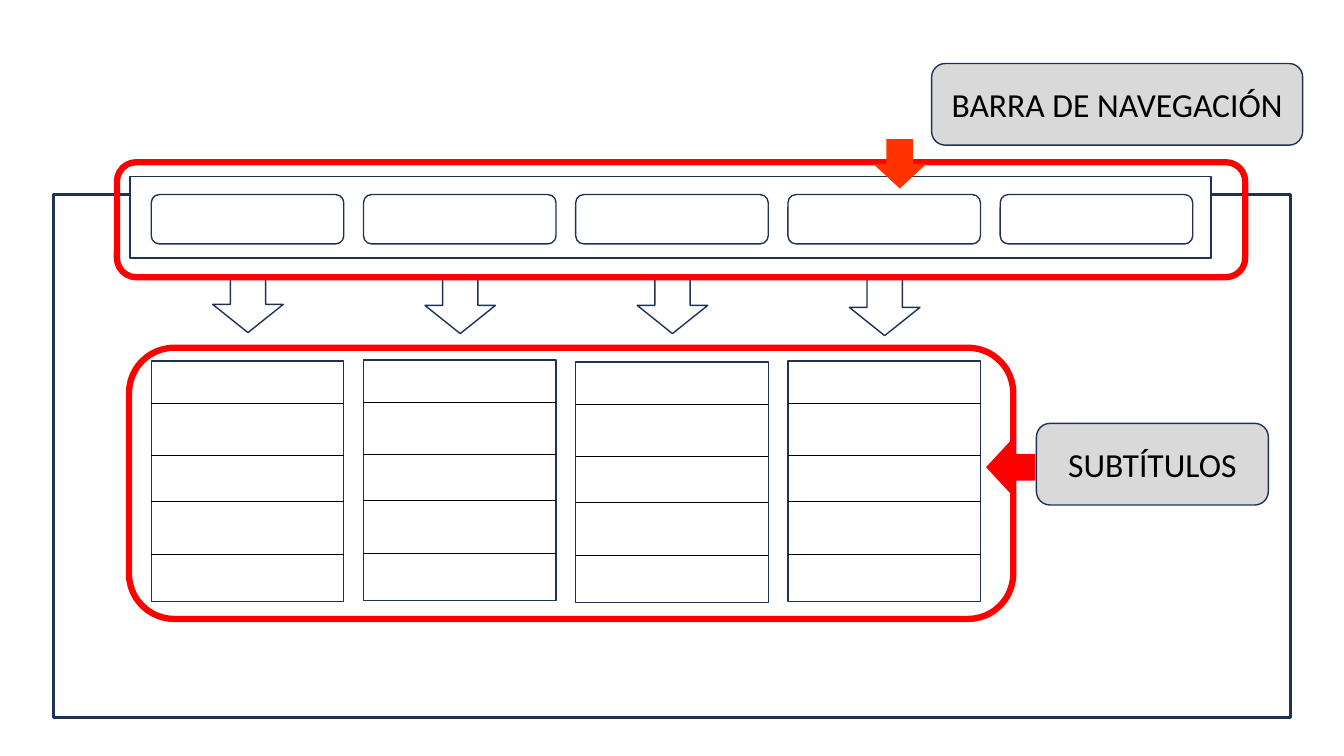
"""Build a wireframe slide of a web page with its navigation bar and subtitles."""
from lxml import etree
from pptx import Presentation
from pptx.dml.color import RGBColor
from pptx.enum.shapes import MSO_CONNECTOR, MSO_SHAPE
from pptx.enum.text import MSO_ANCHOR, PP_ALIGN
from pptx.oxml.ns import qn
from pptx.util import Inches, Pt

THEME = {
    "navy": RGBColor(0x1E, 0x32, 0x56),
    "white": RGBColor(0xFF, 0xFF, 0xFF),
    "black": RGBColor(0x00, 0x00, 0x00),
    "grey": RGBColor(0xD9, 0xD9, 0xD9),
    "red": RGBColor(0xFF, 0x00, 0x00),
    "orange": RGBColor(0xFF, 0x33, 0x00),
    "font": {"name": "Calibri", "size": Pt(24)},
}


def add_block(shapes, kind, box, fill="white", line="navy", width=1):
    shape = shapes.add_shape(kind, *map(Inches, box))
    shape.shadow.inherit = False
    if fill:
        shape.fill.solid()
        shape.fill.fore_color.rgb = THEME[fill]
    else:
        shape.fill.background()
    if line:
        shape.line.color.rgb = THEME[line]
        shape.line.width = Pt(width)
    else:
        shape.line.fill.background()
    return shape


def add_label(shapes, text, box):
    shape = add_block(shapes, MSO_SHAPE.ROUNDED_RECTANGLE, box, fill="grey")
    frame = shape.text_frame
    frame.word_wrap = True
    frame.vertical_anchor = MSO_ANCHOR.MIDDLE
    paragraph = frame.paragraphs[0]
    paragraph.alignment = PP_ALIGN.CENTER
    run = paragraph.add_run()
    run.text = text
    for name, value in THEME["font"].items():
        setattr(run.font, name, value)
    run.font.color.rgb = THEME["black"]


presentation = Presentation()
presentation.slide_width = Inches(13.33)
presentation.slide_height = Inches(7.5)
slide = presentation.slides.add_slide(presentation.slide_layouts[6])
shapes = slide.shapes

add_block(shapes, MSO_SHAPE.RECTANGLE, (0.53, 1.93, 12.27, 5.19), fill=None, width=2.25)
add_block(shapes, MSO_SHAPE.RECTANGLE, (1.29, 1.75, 10.72, 0.81))

column_width = 1.91
column_lefts = [1.5 + 2.105 * index for index in range(5)]
buttons = shapes.add_group_shape()
for left in column_lefts:
    add_block(buttons.shapes, MSO_SHAPE.ROUNDED_RECTANGLE, (left, 1.93, column_width, 0.49))

arrow_tops = (2.74, 2.75, 2.75, 2.77)
for left, top in zip(column_lefts, arrow_tops):
    add_block(shapes, MSO_SHAPE.DOWN_ARROW, (left + 0.61, top, 0.7, 0.56))

submenu_tops = (3.58, 3.57, 3.59, 3.58)
divider_offsets = (0.42, 0.94, 1.39, 1.92)
for left, top in zip(column_lefts, submenu_tops):
    submenu = shapes.add_group_shape()
    add_block(submenu.shapes, MSO_SHAPE.RECTANGLE, (left, top, column_width, 2.39))
    for offset in divider_offsets:
        divider = submenu.shapes.add_connector(
            MSO_CONNECTOR.STRAIGHT,
            Inches(left), Inches(top + offset),
            Inches(left + column_width), Inches(top + offset),
        )
        divider.line.color.rgb = THEME["black"]
        divider.line.width = Pt(0.5)
        etree.SubElement(divider._element.spPr, qn("a:effectLst"))

add_label(shapes, "SUBTÍTULOS", (10.28, 4.2, 2.3, 0.81))
add_block(shapes, MSO_SHAPE.ROUNDED_RECTANGLE, (1.16, 1.61, 11.19, 1.14),
          fill=None, line="red", width=4.5)
add_block(shapes, MSO_SHAPE.DOWN_ARROW, (8.66, 1.38, 0.53, 0.49), fill="orange", line=None)
subtitle_arrow = add_block(shapes, MSO_SHAPE.DOWN_ARROW, (9.76, 4.39, 0.53, 0.49),
                           fill="red", line=None)
subtitle_arrow.rotation = 90
add_block(shapes, MSO_SHAPE.ROUNDED_RECTANGLE, (1.28, 3.45, 8.77, 2.69),
          fill=None, line="red", width=4.5)
add_label(shapes, "BARRA DE NAVEGACIÓN", (9.24, 0.63, 3.68, 0.81))

presentation.save("out.pptx")
